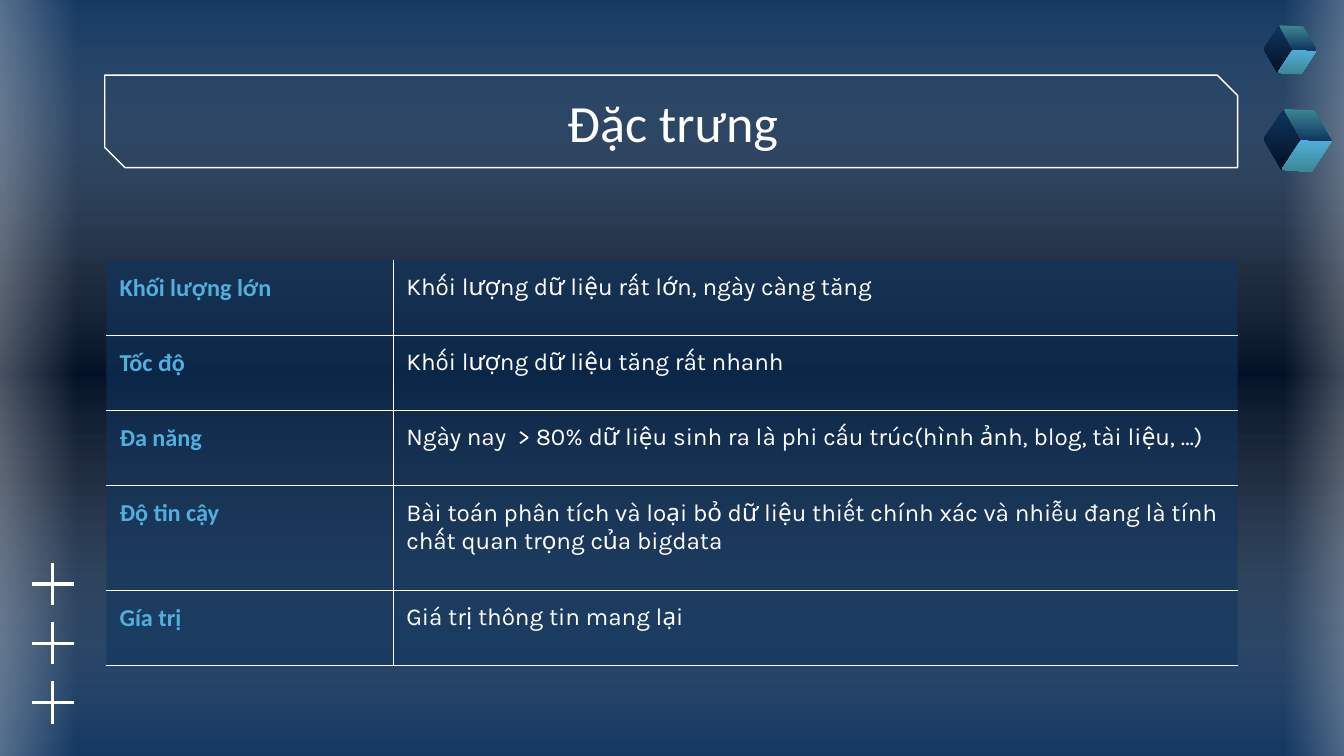
from lxml import etree
from pptx import Presentation
from pptx.dml.color import RGBColor
from pptx.enum.shapes import MSO_SHAPE
from pptx.enum.text import MSO_ANCHOR, PP_ALIGN
from pptx.oxml.ns import qn
from pptx.util import Cm, Pt

RECTANGLE = MSO_SHAPE.RECTANGLE
SNIPPED = MSO_SHAPE.SNIP_2_DIAG_RECTANGLE
MIDDLE = MSO_ANCHOR.MIDDLE
CENTER = PP_ALIGN.CENTER

NAVY = RGBColor(0x10, 0x35, 0x5F)
MIDNIGHT = RGBColor(0x03, 0x11, 0x26)
SKY = RGBColor(0x51, 0xAF, 0xDB)
TEAL = RGBColor(0x3B, 0x87, 0x94)
WHITE = RGBColor(0xFF, 0xFF, 0xFF)

BORDER = Pt(0.75)
INSET = Cm(0.25)
MARGINS = {side: INSET for side in
           ("margin_left", "margin_right", "margin_top", "margin_bottom")}
TITLE_FONT = {"name": "Calibri", "size": Pt(28), "bold": False}
LABEL_FONT = {"name": "Calibri", "size": Pt(13), "bold": True}
DETAIL_FONT = {"name": "Karla", "size": Pt(13), "bold": False}

FEATURES = [
    ("Khối lượng lớn", "Khối lượng dữ liệu rất lớn, ngày càng tăng"),
    ("Tốc độ", "Khối lượng dữ liệu tăng rất nhanh"),
    ("Đa năng", "Ngày nay  > 80% dữ liệu sinh ra là phi cấu trúc(hình ảnh, blog, tài liệu, …)"),
    ("Độ tin cậy", "Bài toán phân tích và loại bỏ dữ liệu thiết chính xác và nhiễu đang là tính chất quan trọng của bigdata"),
    ("Gía trị", "Giá trị thông tin mang lại"),
]
COLUMN_WIDTHS = (5.42, 15.96)
ROW_HEIGHTS = (1.42, 1.42, 1.42, 1.98, 1.42)

CUBE_FACES = [
    ([(0.38, 0), (0, 0.57), (0.34, 1.15), (0.71, 0.58)], NAVY, MIDNIGHT),
    ([(0.71, 0.58), (1.29, 0.61), (0.91, 1.19), (0.34, 1.15)], SKY, TEAL),
    ([(0.38, 0), (0.96, 0.03), (1.29, 0.61), (0.71, 0.58)], TEAL, NAVY),
]


def apply_format(target, values):
    for name, value in values.items():
        setattr(target, name, value)


def add_color(parent, color, opacity=100):
    node = etree.SubElement(parent, qn("a:srgbClr"), val=str(color))
    if opacity < 100:
        etree.SubElement(node, qn("a:alpha"), val=str(opacity * 1000))


def fill_gradient(fill, element, stops, angle):
    fill.gradient()
    gradient = element.find(".//" + qn("a:gradFill"))
    stop_list = gradient.find(qn("a:gsLst"))
    for old_stop in list(stop_list):
        stop_list.remove(old_stop)
    for position, color, opacity in stops:
        stop = etree.SubElement(stop_list, qn("a:gs"), pos=str(position * 1000))
        add_color(stop, color, opacity)
    gradient.find(qn("a:lin")).set("ang", str(angle * 60000))


def add_glow(slide, box, rotation, stops):
    glow = slide.shapes.add_shape(RECTANGLE, *map(Cm, box))
    glow.rotation = rotation
    glow.shadow.inherit = False
    glow.line.fill.background()
    fill_gradient(glow.fill, glow.element, stops, 180)


def add_backdrop(slide):
    fill_gradient(slide.background.fill, slide.element,
                  [(0, NAVY, 100), (37, MIDNIGHT, 100),
                   (63, MIDNIGHT, 100), (100, NAVY, 100)], 90)
    add_glow(slide, (5.59, -5.92, 14.76, 25.93), 270,
             [(0, NAVY, 59), (50, WHITE, 0), (100, NAVY, 59)])
    edge_stops = [(0, WHITE, 47), (100, WHITE, 0)]
    add_glow(slide, (-1.04, -0.23, 2.49, 14.73), 180, edge_stops)
    add_glow(slide, (24.28, -0.33, 2.16, 14.73), 0, edge_stops)


def write_text(frame, text, font, color):
    paragraph = frame.paragraphs[0]
    run = paragraph.add_run()
    run.text = text
    apply_format(run.font, font)
    run.font.color.rgb = color
    return paragraph


def add_title(slide, text):
    border = slide.shapes.add_shape(SNIPPED, Cm(1.98), Cm(1.42), Cm(21.41), Cm(1.75))
    border.adjustments[0] = 0
    border.adjustments[1] = 0.22
    border.shadow.inherit = False
    border.fill.background()
    border.line.color.rgb = WHITE
    border.line.width = BORDER
    title = slide.shapes.add_textbox(Cm(2.01), Cm(1.5), Cm(21.41), Cm(1.6))
    apply_format(title.text_frame,
                 {**MARGINS, "word_wrap": True, "vertical_anchor": MIDDLE})
    write_text(title.text_frame, text, TITLE_FONT, WHITE).alignment = CENTER


def style_cell(cell, edges):
    apply_format(cell, MARGINS)
    properties = cell._tc.get_or_add_tcPr()
    for edge, visible in edges.items():
        line = etree.SubElement(properties, qn("a:" + edge), w=str(BORDER))
        if visible:
            add_color(etree.SubElement(line, qn("a:solidFill")), WHITE)
        else:
            etree.SubElement(line, qn("a:noFill"))
    add_color(etree.SubElement(properties, qn("a:solidFill")), NAVY, 59)


def add_feature_table(slide):
    table = slide.shapes.add_table(
        len(FEATURES), len(COLUMN_WIDTHS), Cm(2.01), Cm(4.92),
        Cm(sum(COLUMN_WIDTHS)), Cm(sum(ROW_HEIGHTS))).table
    apply_format(table, {"first_row": False, "horz_banding": False})
    for column, width in zip(table.columns, COLUMN_WIDTHS):
        column.width = Cm(width)
    for row, height in zip(table.rows, ROW_HEIGHTS):
        row.height = Cm(height)
    styles = ((LABEL_FONT, SKY), (DETAIL_FONT, WHITE))
    for row_index, feature in enumerate(FEATURES):
        for column_index, (text, style) in enumerate(zip(feature, styles)):
            cell = table.cell(row_index, column_index)
            style_cell(cell, {"lnL": column_index > 0, "lnR": column_index == 0,
                              "lnT": row_index > 0, "lnB": True})
            paragraph = write_text(cell.text_frame, text, *style)
            if column_index == 1 and row_index < len(FEATURES) - 1:
                paragraph.space_after = Pt(16)


def add_polygon(group, points):
    corners = [(Cm(x), Cm(y)) for x, y in points]
    builder = group.shapes.build_freeform(*corners[0])
    builder.add_line_segments(corners[1:], close=True)
    polygon = builder.convert_to_shape()
    polygon.shadow.inherit = False
    polygon.line.fill.background()
    return polygon


def add_bar(group, center_x, center_y, width, height):
    left, right = center_x - width / 2, center_x + width / 2
    top, bottom = center_y - height / 2, center_y + height / 2
    bar = add_polygon(group, [(left, top), (left, bottom), (right, bottom), (right, top)])
    bar.fill.solid()
    bar.fill.fore_color.rgb = WHITE


def add_pluses(slide):
    group = slide.shapes.add_group_shape()
    length, thickness = 0.8, 0.06
    for index in range(3):
        center_y = 11.04 + index * 1.12
        add_bar(group, 1.0, center_y, length, thickness)
        add_bar(group, 1.0, center_y, thickness, length)


def add_cube(slide, left, top, scale):
    group = slide.shapes.add_group_shape()
    for corners, start, end in CUBE_FACES:
        face = add_polygon(group, [(left + x * scale, top + y * scale) for x, y in corners])
        fill_gradient(face.fill, face.element, [(0, start, 100), (100, end, 100)], 90)


def main():
    presentation = Presentation()
    apply_format(presentation, {"slide_width": Cm(25.4), "slide_height": Cm(14.29)})
    slide = presentation.slides.add_slide(presentation.slide_layouts[6])
    add_backdrop(slide)
    add_title(slide, "Đặc trưng")
    add_feature_table(slide)
    add_pluses(slide)
    add_cube(slide, 23.88, 2.06, 1)
    add_cube(slide, 23.88, 0.48, 0.78)
    presentation.save("out.pptx")


if __name__ == "__main__":
    main()
